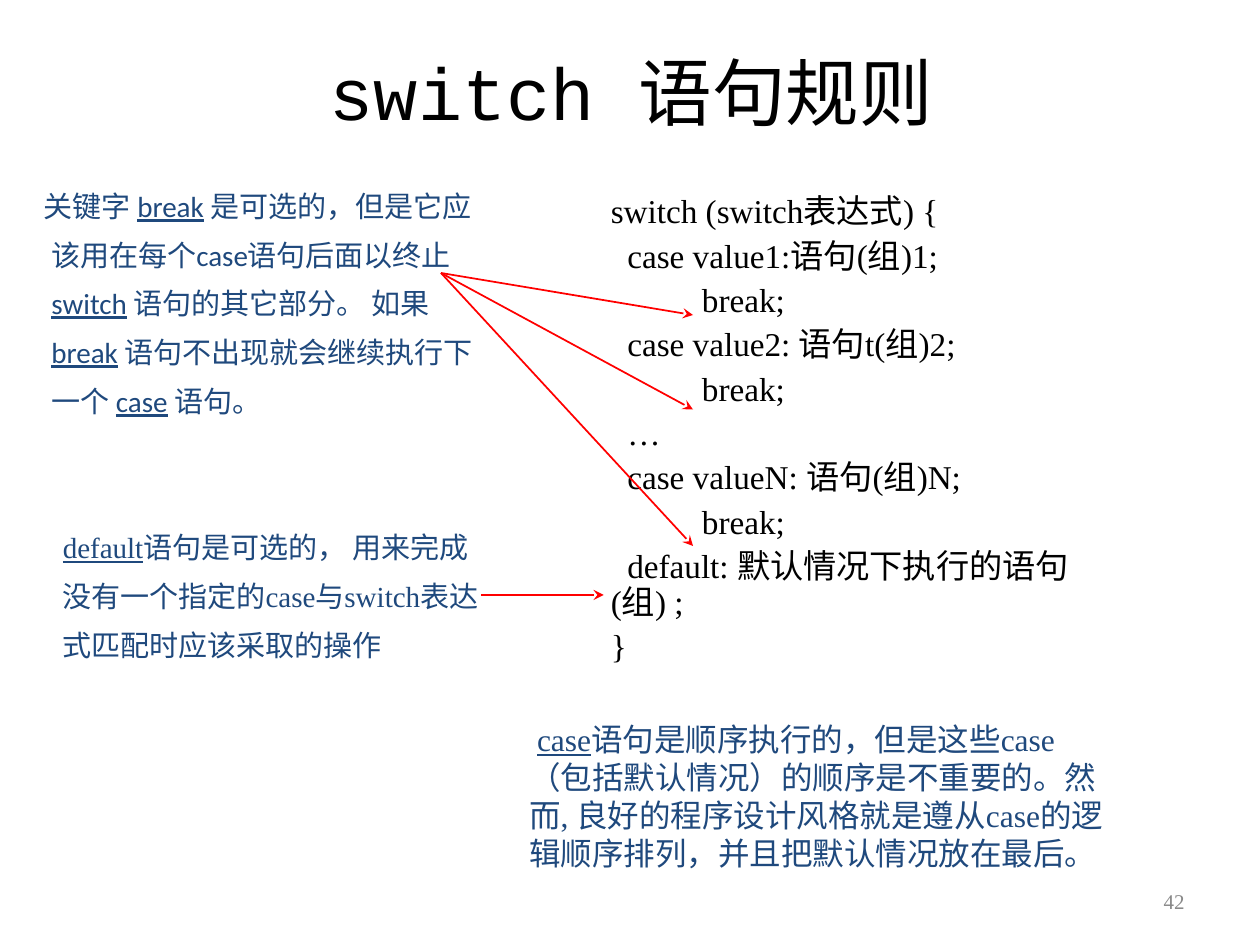
from dataclasses import dataclass

from lxml import etree
from pptx import Presentation
from pptx.dml.color import RGBColor
from pptx.enum import shapes, text
from pptx.oxml import ns
from pptx.slide import Slide
from pptx.util import Pt


@dataclass(frozen=True)
class Theme:
    ink: RGBColor = RGBColor(0, 0, 0)
    note: RGBColor = RGBColor(0x1F, 0x49, 0x7D)
    arrow: RGBColor = RGBColor(0xFF, 0, 0)
    grey: RGBColor = RGBColor(0x89, 0x89, 0x89)
    sans: str = "Calibri"
    serif: str = "Times New Roman"
    mono: str = "Courier New"
    title: float = 42
    code: float = 19
    body: float = 18
    small: float = 16.6
    page: float = 12


@dataclass(frozen=True)
class Box:
    left: float
    top: float
    width: float
    height: float


@dataclass(frozen=True)
class Note:
    box: Box
    words: str
    font: str
    size: float
    lead: float
    margin: float
    indent: float


@dataclass(frozen=True)
class Arrow:
    x1: float
    y1: float
    x2: float
    y2: float


T = Theme()

CODE = """switch (switch表达式) {
  case value1:语句(组)1;
           break;
  case value2: 语句t(组)2;
           break;
  …
  case valueN: 语句(组)N;
           break;
  default: 默认情况下执行的语句(组) ;
}"""

# Words between asterisks are underlined.
NOTES = [
    Note(Box(18, 96, 260.6, 162),
         "关键字 *break* 是可选的，但是它应该用在每个case语句后面以终止 *switch* 语句的其它部分。 "
         "如果 *break* 语句不出现就会继续执行下一个 *case* 语句。",
         T.sans, T.small, 1.4, 4.3, -4.3),
    Note(Box(291, 408, 354, 120),
         "*case*语句是顺序执行的，但是这些case（包括默认情况）的顺序是不重要的。然而, "
         "良好的程序设计风格就是遵从case的逻辑顺序排列，并且把默认情况放在最后。",
         T.serif, T.body, 1.0, 4.3, 4.5),
    Note(Box(24.5, 291, 260.6, 103),
         "*default*语句是可选的， 用来完成没有一个指定的case与switch表达式匹配时应该采取的操作",
         T.serif, T.small, 1.4, 4.3, 0),
]

ARROWS = [Arrow(252, 156, 396, y) for y in (180, 234, 312)]
ARROWS.append(Arrow(275, 340, 345, 340))


def write(slide: Slide, box: Box, words: str, *, font: str, size: float,
          color: RGBColor, align=text.PP_ALIGN.LEFT,
          anchor=text.MSO_ANCHOR.TOP, lead: float = 1.0, gap: float = 0,
          margin: float = 0, indent: float = 0, alt: str = ""):
    """Add a text box; asterisks switch between plain runs and marked runs.

    Marked runs are underlined, or set in the font alt if one is given.
    """
    shape = slide.shapes.add_textbox(
        Pt(box.left), Pt(box.top), Pt(box.width), Pt(box.height))
    frame = shape.text_frame
    frame.word_wrap = True
    frame.vertical_anchor = anchor
    for row, line in enumerate(words.split("\n")):
        para = frame.add_paragraph() if row else frame.paragraphs[0]
        para.alignment = align
        para.line_spacing = lead
        para.space_before = Pt(gap if row else 0)
        props = para._p.get_or_add_pPr()
        props.set("marL", str(Pt(margin)))
        props.set("indent", str(Pt(indent)))
        for i, part in enumerate(line.split("*")):
            if not part:
                continue
            marked = i % 2 == 1
            run = para.add_run()
            run.text = part
            run.font.name = alt if marked and alt else font
            run.font.size = Pt(size)
            run.font.color.rgb = color
            if marked and not alt:
                run.font.underline = True


def point(slide: Slide, arrow: Arrow):
    """Draw a straight red line with a stealth head at its end."""
    link = slide.shapes.add_connector(
        shapes.MSO_CONNECTOR.STRAIGHT,
        Pt(arrow.x1), Pt(arrow.y1), Pt(arrow.x2), Pt(arrow.y2))
    link.line.color.rgb = T.arrow
    link.line.width = Pt(1)
    head = etree.SubElement(link.line._get_or_add_ln(), ns.qn("a:tailEnd"))
    head.set("type", "stealth")
    etree.SubElement(link._element.spPr, ns.qn("a:effectLst"))


def main():
    deck = Presentation()
    deck.slide_width, deck.slide_height = Pt(720), Pt(540)
    slide = deck.slides.add_slide(deck.slide_layouts[6])

    write(slide, Box(54.7, 22.3, 612, 60), "switch *语句规则*",
          font=T.mono, alt=T.sans, size=T.title, color=T.ink,
          align=text.PP_ALIGN.CENTER, anchor=text.MSO_ANCHOR.MIDDLE)
    write(slide, Box(342, 108, 288, 300), CODE, font=T.serif, size=T.code,
          color=T.ink, lead=0.9, gap=4.8)
    for note in NOTES:
        write(slide, note.box, note.words, font=note.font, size=note.size,
              color=T.note, lead=note.lead, margin=note.margin,
              indent=note.indent)
    for arrow in ARROWS:
        point(slide, arrow)
    write(slide, Box(516, 500.4, 168, 28.8), "42", font=T.serif, size=T.page,
          color=T.grey, align=text.PP_ALIGN.RIGHT,
          anchor=text.MSO_ANCHOR.MIDDLE)

    deck.save("out.pptx")


if __name__ == "__main__":
    main()
